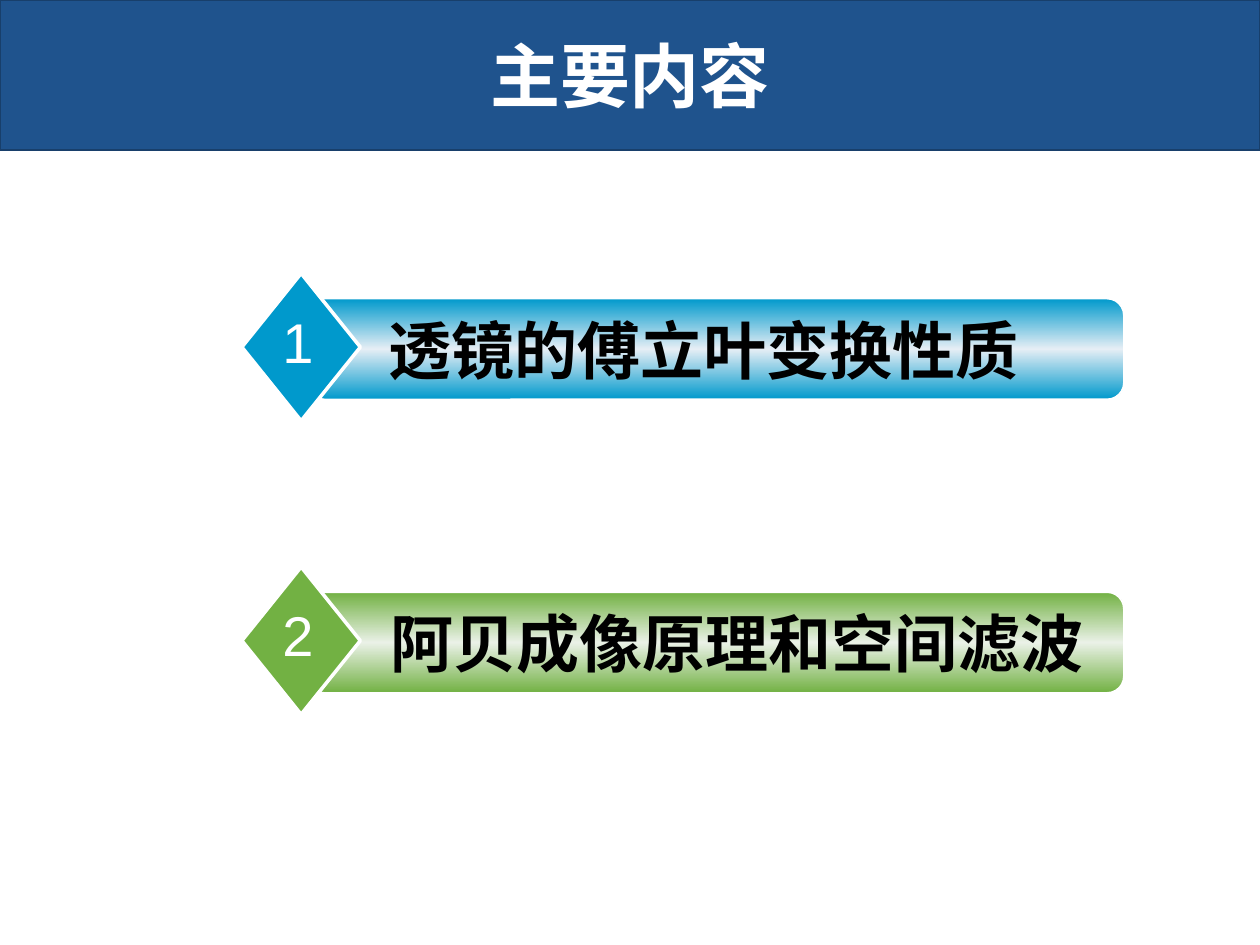
from copy import deepcopy

from pptx import Presentation
from pptx import util as u
from pptx.dml.color import RGBColor
from pptx.enum import shapes, text
from pptx.oxml.ns import qn

HUES = {"banner": "1F538D", "edge": "183F6B", "white": "FFFFFF", "black": "000000",
        "blue": "0099CC", "mist": "E6EEF5", "green": "72B143", "leaf": "EAF1E7"}
KIND = shapes.MSO_SHAPE
HEAD = {"name": "DejaVu Sans", "size": u.Pt(40), "bold": True}
NUMBER = {"name": "Arial", "size": u.Pt(32), "bold": False}
TOPIC = {"name": "Arial", "size": u.Pt(36), "bold": True}


def hue(name):
    return RGBColor.from_string(HUES[name])


def add_form(slide, kind, box, fill, line, width):
    form = slide.shapes.add_shape(kind, *map(u.Inches, box))
    form.shadow.inherit = False
    form.fill.solid()
    form.fill.fore_color.rgb = hue(fill)
    form.line.color.rgb = hue(line)
    form.line.width = u.Pt(width)
    return form


def add_text(slide, box, words, style, color, wrap=True):
    frame = slide.shapes.add_textbox(*map(u.Inches, box)).text_frame
    frame.word_wrap = wrap
    frame.vertical_anchor = text.MSO_ANCHOR.MIDDLE
    para = frame.paragraphs[0]
    para.alignment = text.PP_ALIGN.CENTER
    run = para.add_run()
    run.text = words
    for key, value in style.items():
        setattr(run.font, key, value)
    run.font.color.rgb = hue(color)


def shade(form, outer, inner):
    """Vertical gradient: outer colour at both edges, inner in the middle."""
    form.fill.gradient()
    form.fill.gradient_angle = 90
    stops = form._element.spPr.find(qn("a:gradFill")).find(qn("a:gsLst"))
    middle = deepcopy(stops[0])
    middle.set("pos", "50000")
    stops.insert(1, middle)
    for stop, name in zip(form.fill.gradient_stops, (outer, inner, outer)):
        stop.color.rgb = hue(name)


def add_banner(slide, box, title):
    add_form(slide, KIND.RECTANGLE, box, "banner", "edge", 1)
    add_text(slide, box, title, HEAD, "white")


def add_item(slide, left, top, number, words, outer, inner, inset, width):
    # Bar behind, diamond in front
    bar = add_form(slide, KIND.ROUNDED_RECTANGLE, (left + 0.52, top + 0.2, 6.48, 0.8),
                   outer, "white", 1)
    bar.adjustments[0] = 0.167
    shade(bar, outer, inner)
    add_form(slide, KIND.DIAMOND, (left, top, 0.94, 1.17), outer, "white", 2)
    # Topic and its number
    add_text(slide, (left + inset, top + 0.25, width, 0.7), words, TOPIC, "black")
    add_text(slide, (left + 0.22, top + 0.22, 0.45, 0.63), number, NUMBER, "white", False)


def main():
    deck = Presentation()
    deck.slide_width, deck.slide_height = u.Inches(10), u.Inches(7.5)
    slide = deck.slides.add_slide(deck.slide_layouts[6])
    add_banner(slide, (0, 0, 10, 1.19), "主要内容")
    items = [("透镜的傅立叶变换性质", "blue", "mist", 1.04, 5.24),
             ("阿贝成像原理和空间滤波", "green", "leaf", 0.89, 6.08)]
    for row, item in enumerate(items):
        add_item(slide, 1.92, 2.17 + 2.33 * row, str(row + 1), *item)
    deck.save("out.pptx")


if __name__ == "__main__":
    main()
